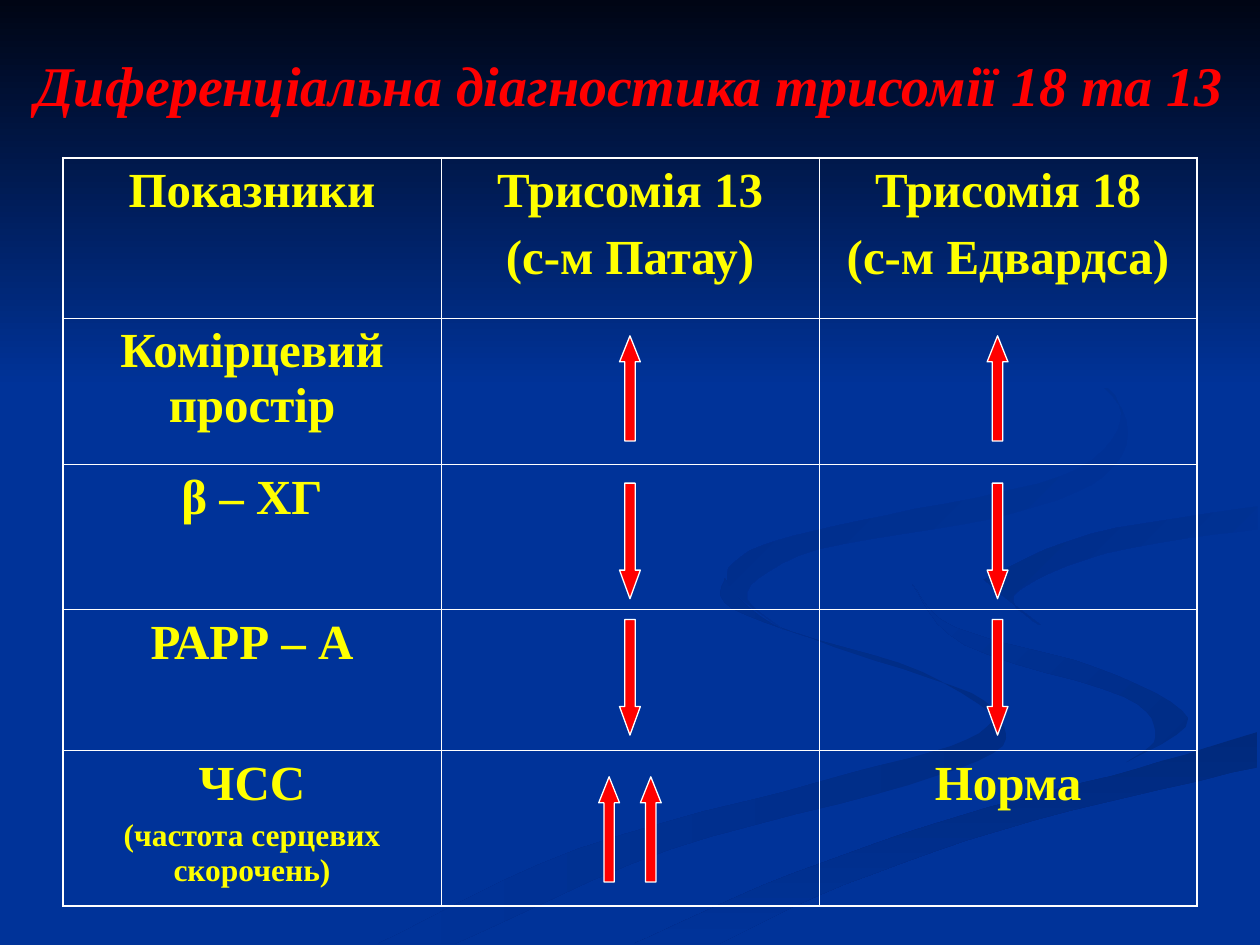
from dataclasses import dataclass

from lxml.etree import SubElement
from pptx import Presentation
from pptx.dml.color import RGBColor
from pptx.enum.shapes import MSO_SHAPE
from pptx.enum.text import MSO_ANCHOR, PP_ALIGN
from pptx.oxml.ns import qn
from pptx.util import Cm, Pt

BLUE = RGBColor(0x00, 0x33, 0x99)
DEEP_BLUE = RGBColor(0x00, 0x2C, 0x85)
NIGHT = RGBColor(0x00, 0x05, 0x14)
RED = RGBColor(0xFF, 0x00, 0x00)
YELLOW = RGBColor(0xFF, 0xFF, 0x00)
WHITE = RGBColor(0xFF, 0xFF, 0xFF)
FONT = "Times New Roman"
RIBBON_UNIT = Cm(0.0254)
CURVE_STEPS = 6
OUTER_BORDER, INNER_BORDER = Pt(1.08), Pt(0.45)
ROW_HEIGHTS = [3.23, 2.95, 2.92, 2.84, 3.15]
COLUMN_WIDTH = 7.62
ROWS = [
    ["Показники", "Трисомія 13\n(с-м Патау)", "Трисомія 18\n(с-м Едвардса)"],
    ["Комірцевий простір", "", ""],
    ["β – ХГ", "", ""],
    ["РАРР – А", "", ""],
    ["ЧСС\n(частота серцевих скорочень)", "", "Норма"],
]


@dataclass
class Ribbon:
    start: RGBColor
    end: RGBColor
    angle: int
    outward: list[tuple[int, int]]
    inward: list[tuple[int, int]]


@dataclass
class ArrowKind:
    preset: MSO_SHAPE
    height: float
    head: float


@dataclass
class Arrow:
    kind: ArrowKind
    center: float
    top: float


UP = ArrowKind(MSO_SHAPE.UP_ARROW, 2.12, 1.25)
DOWN = ArrowKind(MSO_SHAPE.DOWN_ARROW, 2.33, 1.37)
PATAU, EDWARDS, PAIR_OFFSET = 12.7, 20.11, 0.42
ARROWS = [
    Arrow(kind, center, top)
    for kind, top in [(UP, 6.77), (DOWN, 9.74), (DOWN, 12.49)]
    for center in (PATAU, EDWARDS)
] + [Arrow(UP, PATAU + offset, 15.66) for offset in (-PAIR_OFFSET, PAIR_OFFSET)]

RIBBONS = [
    Ribbon(DEEP_BLUE, BLUE, 180,
           [(575, 459), (581, 483), (679, 519), (781, 556), (767, 587),
            (652, 620), (458, 674), (300, 749)],
           [(361, 749), (532, 674), (721, 623), (799, 585), (731, 533),
            (614, 496), (575, 459)]),
    Ribbon(DEEP_BLUE, BLUE, 135,
           [(724, 464), (766, 512), (892, 553), (917, 585), (894, 605)],
           [(894, 605), (943, 570), (870, 530), (758, 498), (724, 464)]),
    Ribbon(RGBColor(0x00, 0x29, 0x7C), BLUE, 270,
           [(503, 749), (630, 693), (764, 647), (903, 610), (998, 581)],
           [(998, 609), (821, 651), (670, 702), (571, 749)]),
    Ribbon(BLUE, DEEP_BLUE, 135,
           [(781, 460), (826, 496), (805, 472), (878, 439), (998, 420)],
           [(998, 402), (865, 424), (781, 460)]),
    Ribbon(BLUE, DEEP_BLUE, 135,
           [(762, 233), (862, 292), (889, 335), (842, 378), (704, 409),
            (605, 433), (577, 462), (622, 500)],
           [(622, 500), (593, 470), (649, 436), (786, 412), (876, 378),
            (890, 324), (810, 256), (762, 233)]),
]


def smooth_curve(points: list[tuple[int, int]]) -> list[tuple[int, int]]:
    padded = [points[0], *points, points[-1]]
    curve = [points[0]]
    for before, start, end, after in zip(padded, padded[1:], padded[2:], padded[3:]):
        for step in range(1, CURVE_STEPS + 1):
            t = step / CURVE_STEPS
            curve.append(tuple(
                round(b + t * (c - a) / 2
                      + t ** 2 * (2 * a - 5 * b + 4 * c - d) / 2
                      + t ** 3 * (3 * b - a - 3 * c + d) / 2)
                for a, b, c, d in zip(before, start, end, after)))
    return curve


def paint_gradient(shape, start: RGBColor, end: RGBColor, angle: int) -> None:
    shape.shadow.inherit = False
    shape.line.fill.background()
    shape.fill.gradient()
    shape.fill.gradient_angle = angle
    for stop, color in zip(shape.fill.gradient_stops, (start, end)):
        stop.color.rgb = color


def draw_ribbon(page, ribbon: Ribbon) -> None:
    first, *others = smooth_curve(ribbon.outward) + smooth_curve(ribbon.inward)
    builder = page.shapes.build_freeform(*first, scale=RIBBON_UNIT)
    builder.add_line_segments(others, close=True)
    paint_gradient(builder.convert_to_shape(), ribbon.start, ribbon.end, ribbon.angle)


def draw_arrow(page, arrow: Arrow) -> None:
    width = 0.42
    shape = page.shapes.add_shape(
        arrow.kind.preset, Cm(arrow.center - width / 2), Cm(arrow.top),
        Cm(width), Cm(arrow.kind.height))
    shape.adjustments[1] = arrow.kind.head
    shape.shadow.inherit = False
    shape.fill.solid()
    shape.fill.fore_color.rgb = RED
    shape.line.color.rgb = WHITE
    shape.line.width = Pt(0.75)


def format_span(span, size: float, color: RGBColor, italic: bool = False) -> None:
    span.font.name = FONT
    span.font.size = Pt(size)
    span.font.bold = True
    span.font.italic = italic
    span.font.color.rgb = color


def set_borders(cell, outer_sides: dict[str, bool]) -> None:
    properties = cell._tc.get_or_add_tcPr()
    for position, (side, is_outer) in enumerate(outer_sides.items()):
        width = OUTER_BORDER if is_outer else INNER_BORDER
        border = SubElement(properties, qn(f"a:ln{side}"), w=str(int(width)))
        fill = SubElement(border, qn("a:solidFill"))
        SubElement(fill, qn("a:srgbClr"), val=str(WHITE))
        properties.insert(position, border)


def fill_cell(cell, text: str) -> None:
    cell.fill.background()
    cell.text_frame.text = text
    for para in cell.text_frame.paragraphs:
        is_note = para.text.startswith("(частота")
        para.alignment = PP_ALIGN.CENTER
        para.space_before = Pt(4.5 if is_note else 7)
        for span in para.runs:
            format_span(span, 18 if is_note else 28, YELLOW)


def draw_table(page) -> None:
    last_row, last_column = len(ROWS) - 1, len(ROWS[0]) - 1
    table = page.shapes.add_table(
        len(ROWS), len(ROWS[0]), Cm(1.27), Cm(3.18),
        Cm(COLUMN_WIDTH * len(ROWS[0])), Cm(sum(ROW_HEIGHTS))).table
    table.first_row = table.horz_banding = False
    for column in table.columns:
        column.width = Cm(COLUMN_WIDTH)
    for row, (height, texts) in enumerate(zip(ROW_HEIGHTS, ROWS)):
        table.rows[row].height = Cm(height)
        for column, text in enumerate(texts):
            cell = table.cell(row, column)
            fill_cell(cell, text)
            set_borders(cell, {"L": column == 0, "R": column == last_column,
                               "T": row == 0, "B": row == last_row})


def place_title(page) -> None:
    title = page.shapes.title
    title.left, title.top, title.width, title.height = Cm(0.42), Cm(0.42), Cm(24.56), Cm(2.54)
    title.element.getparent().append(title.element)
    title.text_frame.text = "Диференціальна діагностика трисомії 18 та 13"
    title.text_frame.vertical_anchor = MSO_ANCHOR.MIDDLE
    para = title.text_frame.paragraphs[0]
    para.alignment = PP_ALIGN.CENTER
    format_span(para.runs[0], 32, RED, italic=True)


def main() -> None:
    deck = Presentation()
    deck.slide_width, deck.slide_height = Cm(25.4), Cm(19.05)
    page = deck.slides.add_slide(deck.slide_layouts[5])
    page.background.fill.solid()
    page.background.fill.fore_color.rgb = BLUE
    for ribbon in RIBBONS:
        draw_ribbon(page, ribbon)
    sky = page.shapes.add_shape(MSO_SHAPE.RECTANGLE, 0, 0, deck.slide_width, Cm(7.82))
    paint_gradient(sky, NIGHT, BLUE, 270)
    place_title(page)
    draw_table(page)
    for arrow in ARROWS:
        draw_arrow(page, arrow)
    deck.save("out.pptx")


if __name__ == "__main__":
    main()
